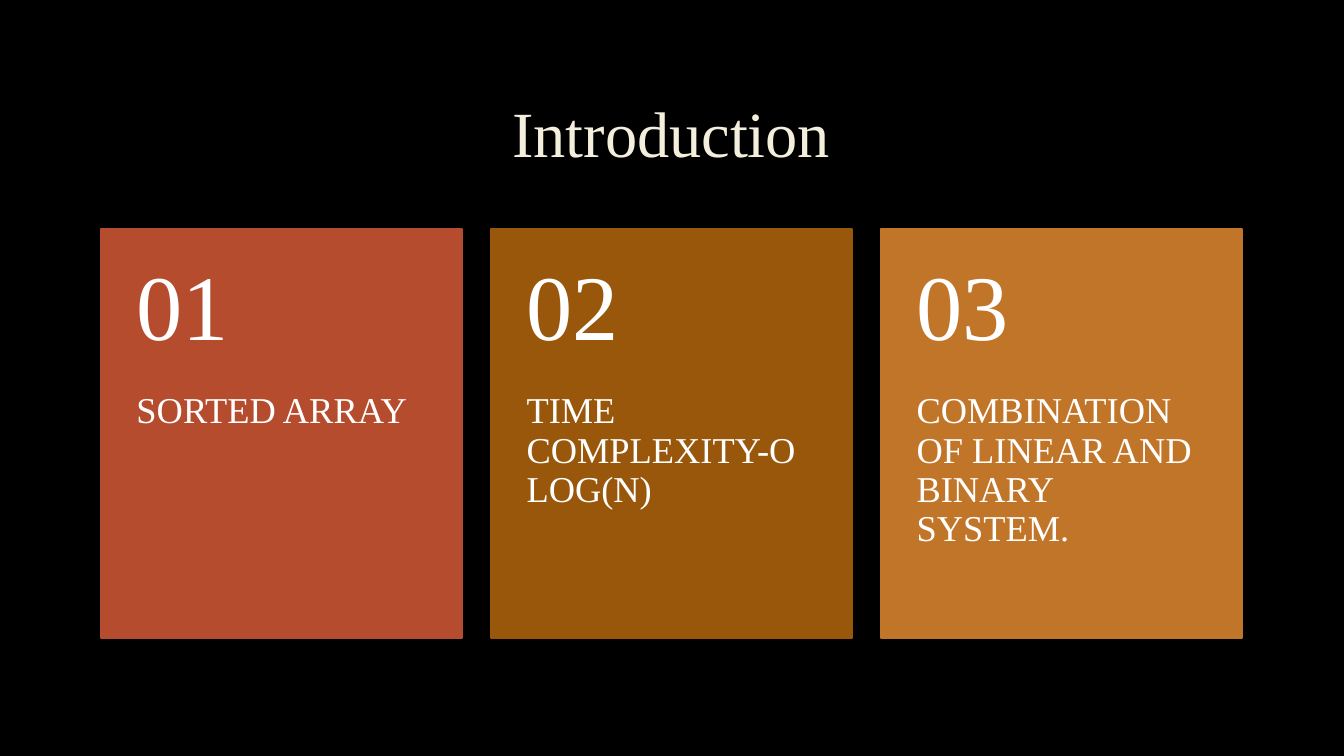
"""Build the introduction slide: a title above three numbered topic cards."""
from dataclasses import dataclass

from pptx import Presentation
from pptx.dml.color import RGBColor
from pptx.enum.text import MSO_ANCHOR, MSO_AUTO_SIZE, PP_ALIGN
from pptx.enum.shapes import MSO_SHAPE
from pptx.shapes.group import GroupShape
from pptx.slide import Slide
from pptx.text.text import TextFrame
from pptx.util import Cm, Pt


@dataclass(frozen=True)
class Theme:
    """Font, colours and type sizes of the slide."""
    font: str = "Times New Roman"
    background: str = "000000"
    title_color: str = "F4EEDC"
    card_text: str = "FFFFFF"
    title_size: float = 46
    number_size: float = 66
    topic_size: float = 26
    outline: float = 1.25
    line_spacing: float = 0.9


@dataclass(frozen=True)
class Card:
    """A numbered topic and the colour behind it."""
    topic: str
    color: str


THEME = Theme()
CARDS = (
    Card("SORTED ARRAY", "B54C2D"),
    Card("TIME COMPLEXITY-O LOG(N)", "99570C"),
    Card("COMBINATION OF LINEAR AND BINARY SYSTEM.", "C17529"),
)
MARGIN = Cm(2.54)
CARD_TOP = Cm(5.77)
CARD_WIDTH, CARD_HEIGHT = Cm(9.1), Cm(10.31)
CARD_PITCH = Cm(9.83)
NUMBER_HEIGHT = Cm(4.12)
SIDE_INSET = Cm(0.9)


def set_text(frame: TextFrame, text: str, size: float, color: str,
             align: PP_ALIGN, anchor: MSO_ANCHOR) -> None:
    """Fill a text frame and format its only paragraph."""
    frame.text = text
    frame.word_wrap = True
    frame.auto_size = MSO_AUTO_SIZE.NONE
    frame.vertical_anchor = anchor
    paragraph = frame.paragraphs[0]
    paragraph.alignment = align
    paragraph.line_spacing = THEME.line_spacing
    for run in paragraph.runs:
        run.font.name = THEME.font
        run.font.size = Pt(size)
        run.font.color.rgb = RGBColor.from_string(color)


def add_card_text(group: GroupShape, text: str, left: int, top: int, height: int,
                  size: float, anchor: MSO_ANCHOR, insets: tuple[int, int]) -> None:
    """Add a text box as wide as the card, with top and bottom insets."""
    frame = group.shapes.add_textbox(left, top, CARD_WIDTH, height).text_frame
    frame.margin_left = frame.margin_right = SIDE_INSET
    frame.margin_top, frame.margin_bottom = insets
    set_text(frame, text, size, THEME.card_text, PP_ALIGN.LEFT, anchor)


def add_card(slide: Slide, index: int, card: Card) -> None:
    """Add one card as a group of panel, topic and number."""
    group = slide.shapes.add_group_shape()
    left = MARGIN + index * CARD_PITCH
    panel = group.shapes.add_shape(MSO_SHAPE.RECTANGLE, left, CARD_TOP, CARD_WIDTH, CARD_HEIGHT)
    panel.shadow.inherit = False
    panel.fill.solid()
    panel.fill.fore_color.rgb = RGBColor.from_string(card.color)
    panel.line.color.rgb = RGBColor.from_string(card.color)
    panel.line.width = Pt(THEME.outline)
    add_card_text(group, card.topic, left, CARD_TOP + NUMBER_HEIGHT, CARD_HEIGHT - NUMBER_HEIGHT,
                  THEME.topic_size, MSO_ANCHOR.TOP, (Cm(0), Cm(0.9)))
    add_card_text(group, f"{index + 1:02}", left, CARD_TOP, NUMBER_HEIGHT,
                  THEME.number_size, MSO_ANCHOR.MIDDLE, (Cm(0.45), Cm(0.45)))


def main() -> None:
    """Build and save the presentation."""
    presentation = Presentation()
    presentation.slide_width, presentation.slide_height = Cm(33.87), Cm(19.05)
    slide = presentation.slides.add_slide(presentation.slide_layouts[5])
    slide.background.fill.solid()
    slide.background.fill.fore_color.rgb = RGBColor.from_string(THEME.background)

    title = slide.shapes.title
    title.left, title.top, title.width, title.height = MARGIN, Cm(1.7), Cm(28.75), Cm(3.5)
    set_text(title.text_frame, "Introduction", THEME.title_size, THEME.title_color,
             PP_ALIGN.CENTER, MSO_ANCHOR.MIDDLE)

    for index, card in enumerate(CARDS):
        add_card(slide, index, card)
    presentation.save("out.pptx")


if __name__ == "__main__":
    main()
